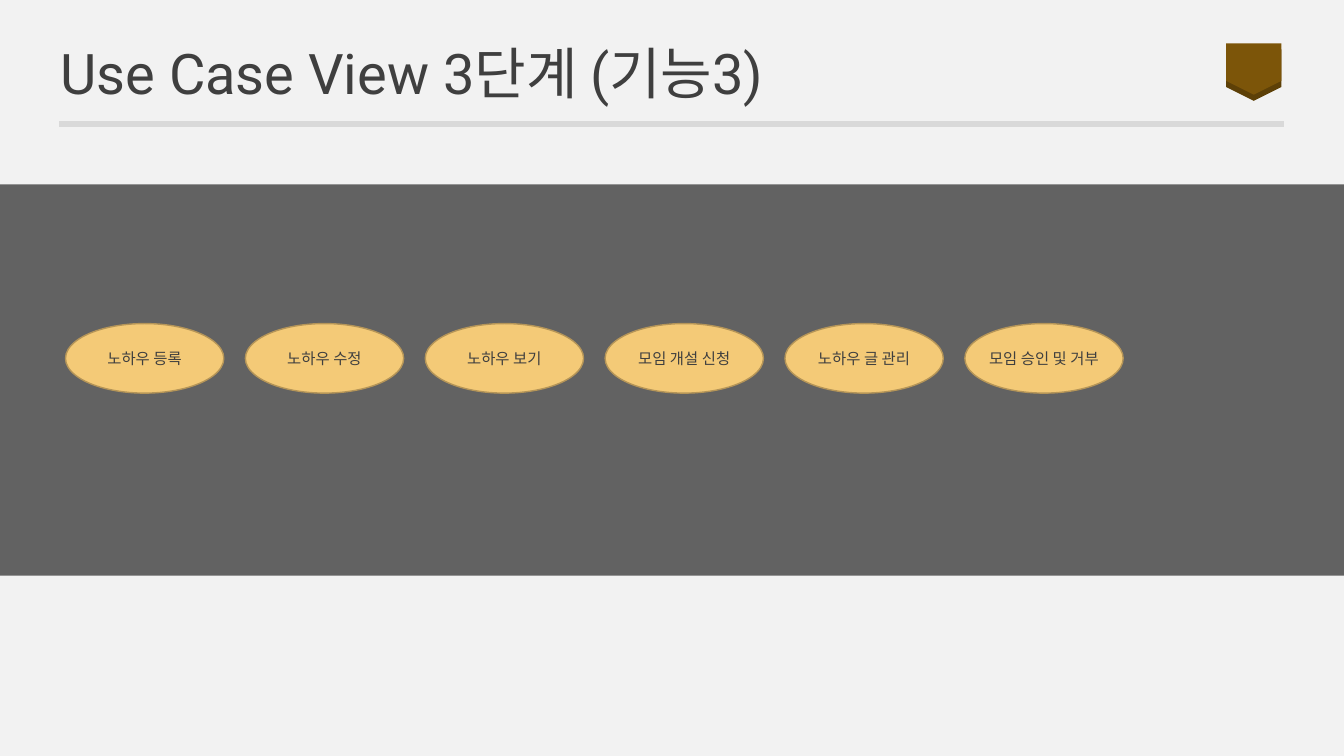
"""Build the third-level use case view slide."""
from pptx import Presentation
from pptx import util as u
from pptx.dml.color import RGBColor
from pptx.enum import shapes, text
from pptx.oxml.ns import qn
from lxml import etree
from dataclasses import dataclass

HEADING = "Use Case View 3단계 (기능3)"
USE_CASES = ["노하우 등록", "노하우 수정", "노하우 보기",
             "모임 개설 신청", "노하우 글 관리", "모임 승인 및 거부"]


@dataclass(frozen=True)
class Theme:
    """Colours, fonts and type sizes of the slide."""
    page: str = "F2F2F2"
    ink: str = "3F3F3F"
    rule: str = "D9D9D9"
    ribbon_back: str = "5D4007"
    ribbon_front: str = "7C5509"
    oval: str = "F4CA77"
    oval_edge: str = "B59558"
    heading_font: str = "Roboto"
    label_font: str = "Calibri"
    heading_size: int = 40
    label_size: int = 11


THEME = Theme()
SLIDE_W, SLIDE_H = 13.33, 7.5
HEADING_BOX = (0.5, 0.14, 10.86, 1.23)
BAND_BOX = (0, 1.83, SLIDE_W, 3.88)
RULE_LEFT, RULE_RIGHT, RULE_Y = 0.59, 12.74, 1.23
RIBBONS = [(0.47, THEME.ribbon_back), (0.41, THEME.ribbon_front)]
OVAL_FIRST, OVAL_LAST, OVAL_TOP, OVAL_W, OVAL_H = 0.65, 9.57, 3.21, 1.57, 0.69


def rgb(value):
    """Return a colour object for a hex string."""
    return RGBColor.from_string(value)


def add_filled(slide, kind, box, fill, edge=None):
    """Add a flat shape with an optional thin outline."""
    shape = slide.shapes.add_shape(kind, *map(u.Inches, box))
    shape.shadow.inherit = False
    shape.fill.solid()
    shape.fill.fore_color.rgb = rgb(fill)
    if edge:
        shape.line.color.rgb = rgb(edge)
        shape.line.width = u.Pt(1)
    else:
        shape.line.fill.background()
    return shape


def write(shape, words, align, font, size):
    """Put one formatted line of text, centred vertically, in a shape."""
    frame = shape.text_frame
    frame.text = words
    frame.auto_size = text.MSO_AUTO_SIZE.NONE
    frame.vertical_anchor = text.MSO_ANCHOR.MIDDLE
    line = frame.paragraphs[0]
    line.alignment = align
    style = {"name": font, "size": u.Pt(size), "bold": False}
    for key, value in style.items():
        setattr(line.runs[0].font, key, value)
    line.runs[0].font.color.rgb = rgb(THEME.ink)
    return frame


def add_header(slide):
    """Add the heading, the rule under it and the ribbon."""
    heading = slide.shapes.title
    for side, value in zip(("left", "top", "width", "height"), HEADING_BOX):
        setattr(heading, side, u.Inches(value))
    frame = write(heading, HEADING, text.PP_ALIGN.LEFT,
                  THEME.heading_font, THEME.heading_size)
    frame.paragraphs[0].line_spacing = 0.9

    rule = slide.shapes.add_connector(
        shapes.MSO_CONNECTOR.STRAIGHT,
        *map(u.Inches, (RULE_LEFT, RULE_Y, RULE_RIGHT, RULE_Y)))
    rule.line.color.rgb = rgb(THEME.rule)
    rule.line.width = u.Pt(4)
    etree.SubElement(rule._element.spPr, qn("a:effectLst"))

    for top, colour in RIBBONS:
        ribbon = add_filled(slide, shapes.MSO_SHAPE.PENTAGON,
                            (12.18, top, 0.51, 0.55), colour)
        ribbon.rotation = 90
        ribbon.adjustments[0] = 0.27


def add_band(slide):
    """Add the translucent band behind the use cases."""
    band = add_filled(slide, shapes.MSO_SHAPE.RECTANGLE, BAND_BOX, THEME.ink)
    tint = band._element.spPr.find(qn("a:solidFill"))[0]
    etree.SubElement(tint, qn("a:alpha"), val="80000")


def add_use_cases(slide):
    """Spread the use case ovals evenly along one row."""
    pitch = (OVAL_LAST - OVAL_FIRST) / (len(USE_CASES) - 1)
    for index, use_case in enumerate(USE_CASES):
        box = (OVAL_FIRST + index * pitch, OVAL_TOP, OVAL_W, OVAL_H)
        oval = add_filled(slide, shapes.MSO_SHAPE.OVAL, box,
                          THEME.oval, THEME.oval_edge)
        frame = write(oval, use_case, text.PP_ALIGN.CENTER,
                      THEME.label_font, THEME.label_size)
        frame.word_wrap = False


def main():
    """Build and save the presentation."""
    deck = Presentation()
    deck.slide_width, deck.slide_height = u.Inches(SLIDE_W), u.Inches(SLIDE_H)
    slide = deck.slides.add_slide(deck.slide_layouts[5])
    slide.background.fill.solid()
    slide.background.fill.fore_color.rgb = rgb(THEME.page)
    add_header(slide)
    add_band(slide)
    add_use_cases(slide)
    deck.save("out.pptx")


if __name__ == "__main__":
    main()
